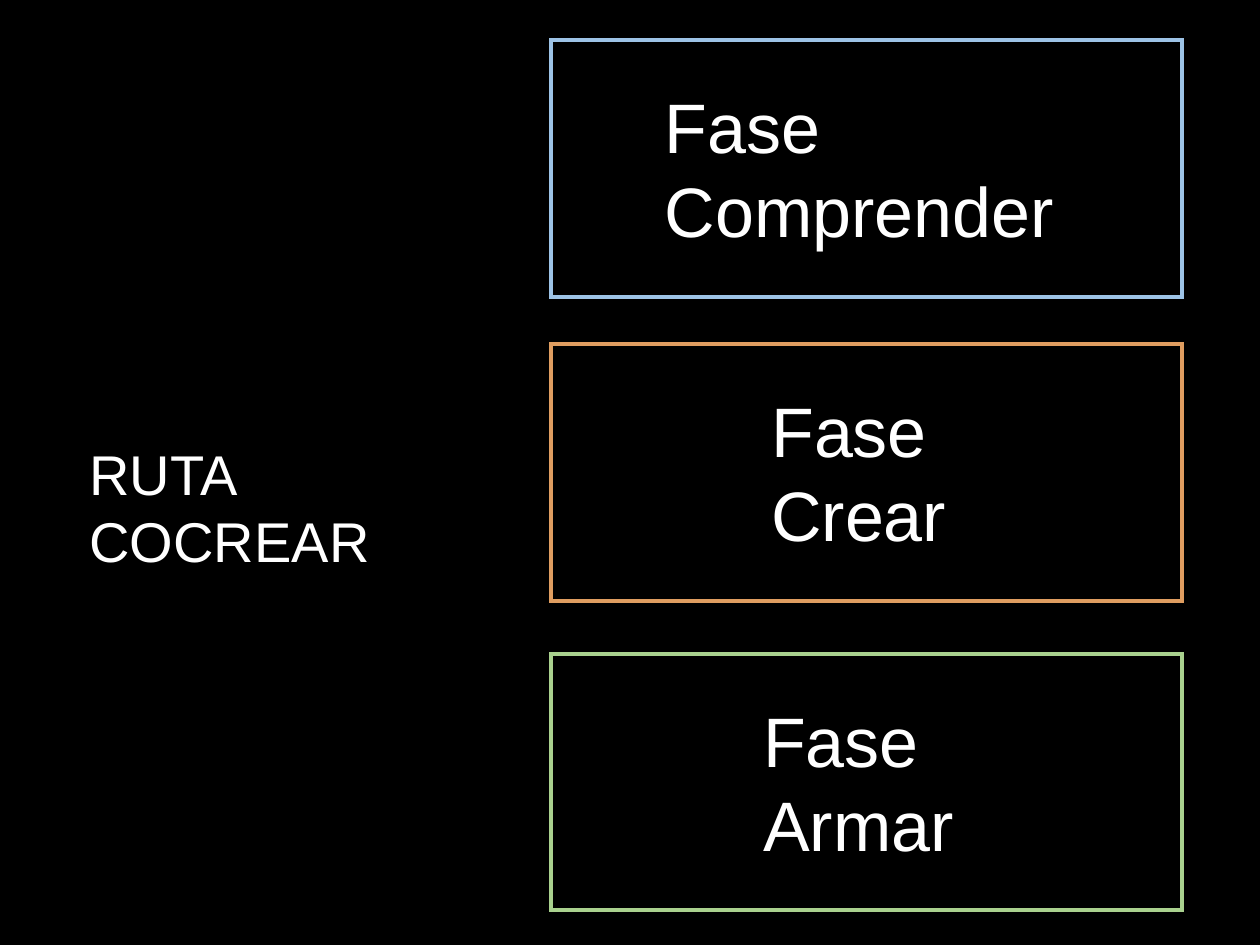
from dataclasses import dataclass

from lxml import etree
from pptx import Presentation
from pptx.dml.color import RGBColor
from pptx.enum import shapes, text
from pptx.oxml.ns import qn
from pptx.util import Pt


@dataclass(frozen=True)
class Theme:
    """Colours, fonts and type sizes of the slide."""
    back: str = "000000"
    ink: str = "FFFFFF"
    blue: str = "9DC3E6"
    orange: str = "DF9D60"
    green: str = "A9D18E"
    font: str = "Arial"
    alt: str = "Quicksand"
    title: int = 32
    phase: int = 40
    rule: float = 2.25


THEME = Theme()


def style(font, size, name=THEME.font):
    """Set the face, size and colour of a font."""
    font.name = name
    font.size = Pt(size)
    font.color.rgb = RGBColor.from_string(THEME.ink)


def add_title(slide, left, top, width, height):
    """Place the route name in the title placeholder."""
    title = slide.shapes.title
    title.left, title.top = Pt(left), Pt(top)
    title.width, title.height = Pt(width), Pt(height)
    frame = title.text_frame
    frame.text = "RUTA COCREAR"
    frame.word_wrap = True
    frame.auto_size = text.MSO_AUTO_SIZE.SHAPE_TO_FIT_TEXT
    frame.vertical_anchor = text.MSO_ANCHOR.TOP
    para = frame.paragraphs[0]
    para.alignment = text.PP_ALIGN.LEFT
    style(para.font, THEME.title)


def add_phase(slide, name, color, indent, left, top, width, height):
    """Draw a framed phase with its indented label."""
    box = slide.shapes.add_shape(
        shapes.MSO_SHAPE.RECTANGLE, Pt(left), Pt(top), Pt(width), Pt(height))
    box.shadow.inherit = False
    box.fill.background()
    box.line.color.rgb = RGBColor.from_string(color)
    box.line.width = Pt(THEME.rule)
    line = box.element.spPr.find(qn("a:ln"))
    etree.SubElement(line, qn("a:miter"), lim="800000")

    inset, drop = 22.8, 21.2
    label = slide.shapes.add_textbox(
        Pt(left + inset), Pt(top + drop),
        Pt(width - 2 * inset), Pt(height - 2 * drop))
    frame = label.text_frame
    frame.word_wrap = True
    frame.auto_size = text.MSO_AUTO_SIZE.SHAPE_TO_FIT_TEXT
    frame.margin_left = Pt(indent)
    frame.text = f"Fase\n{name}"
    for para in frame.paragraphs:
        style(para.font, THEME.phase)
    tail = frame.paragraphs[-1].add_run()
    tail.text = " "
    style(tail.font, THEME.title, THEME.alt)


def main():
    """Build and save the slide."""
    deck = Presentation()
    deck.slide_width, deck.slide_height = Pt(720), Pt(540)
    slide = deck.slides.add_slide(deck.slide_layouts[5])
    fill = slide.background.fill
    fill.solid()
    fill.fore_color.rgb = RGBColor.from_string(THEME.back)

    add_title(slide, 43.9, 247.7, 247, 85)
    phases = (
        ("Comprender", THEME.blue, 42.2, 23),
        ("Crear", THEME.orange, 103.2, 196.8),
        ("Armar", THEME.green, 98.6, 373.6),
    )
    for name, color, indent, top in phases:
        add_phase(slide, name, color, indent, 314.8, top, 360.8, 146.6)
    deck.save("out.pptx")


if __name__ == "__main__":
    main()
